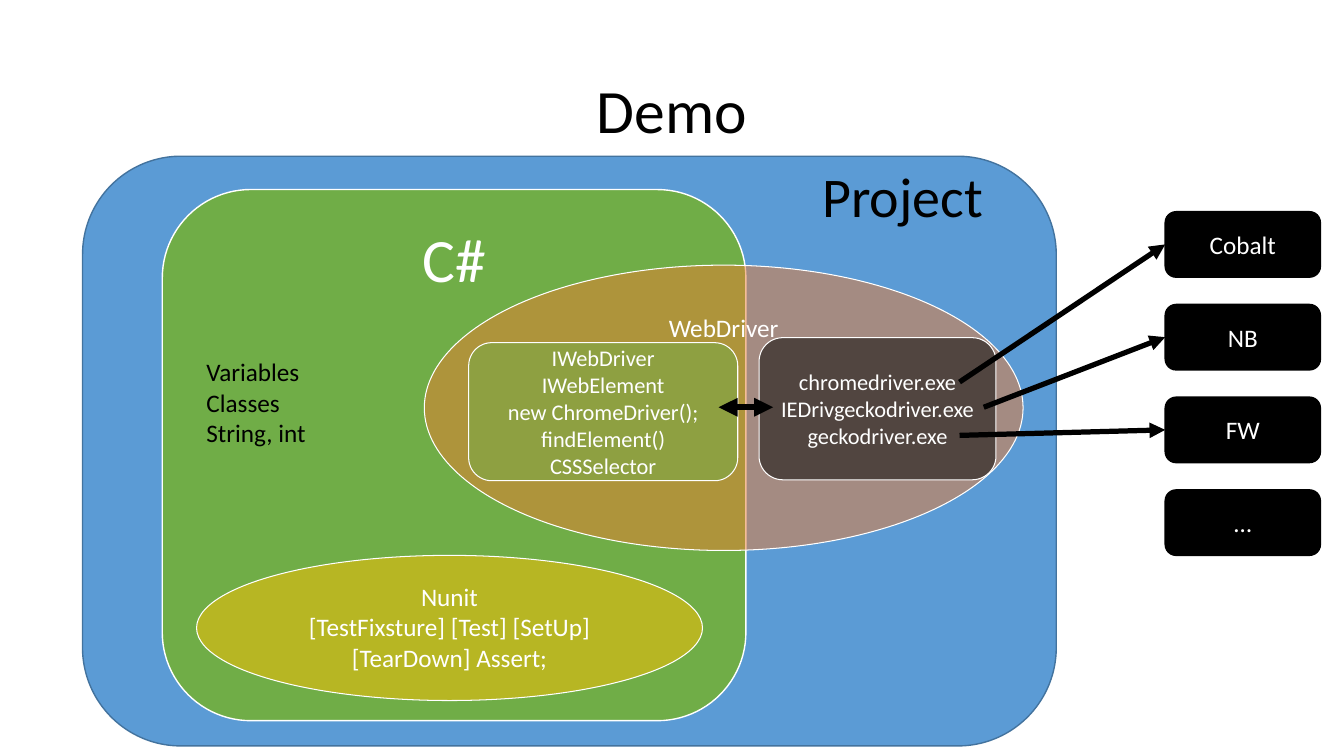
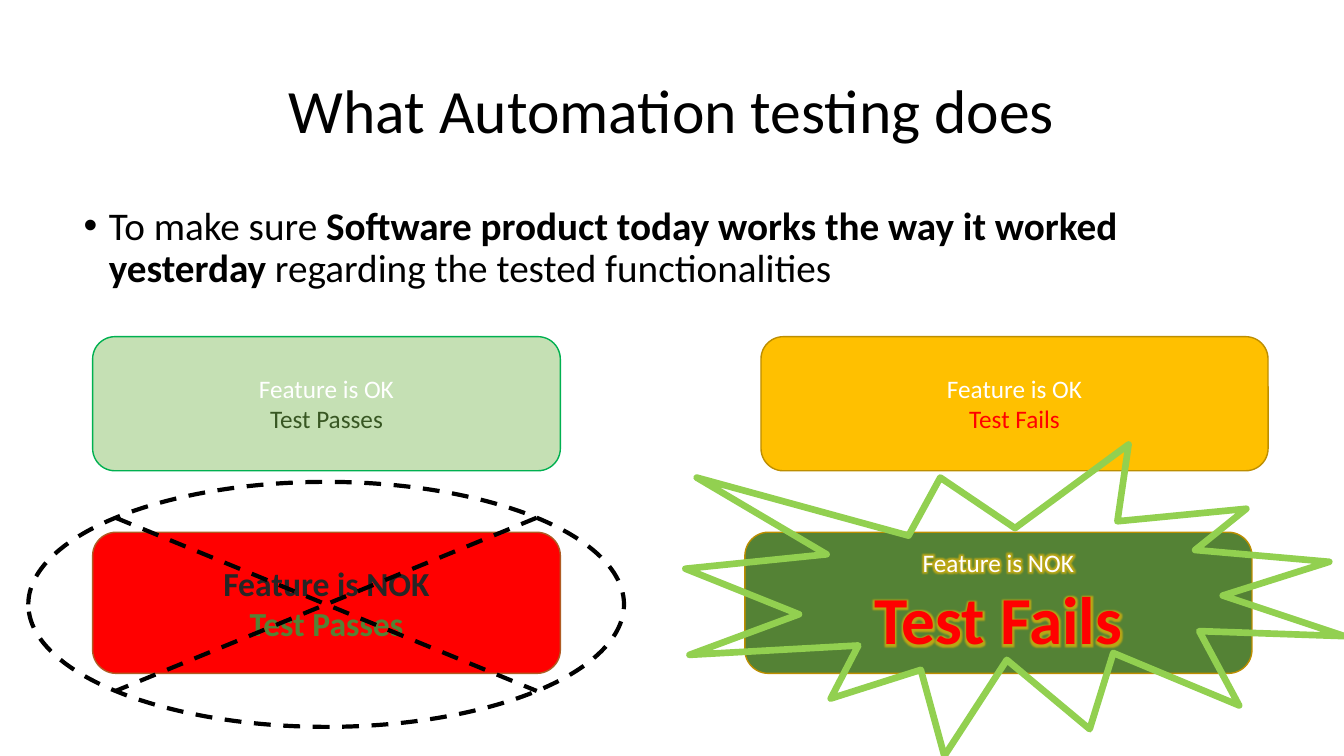
from lxml import etree
from pptx import Presentation
from pptx import util as u
from pptx.dml.color import RGBColor
from pptx.enum import dml, shapes, text
from pptx.oxml.ns import qn

BLACK, WHITE, RED = "000000", "FFFFFF", "FF0000"
GREEN, GOLD, DARK_GREEN = "70AD47", "FFC000", "548235"
FONT = "Calibri"
ROUND = shapes.MSO_SHAPE.ROUNDED_RECTANGLE
OVAL = shapes.MSO_SHAPE.OVAL
CENTER, LEFT = text.PP_ALIGN.CENTER, text.PP_ALIGN.LEFT
MIDDLE, TOP = text.MSO_ANCHOR.MIDDLE, text.MSO_ANCHOR.TOP


def rgb(value):
    return RGBColor.from_string(value)


def sub(parent, tag, **attrs):
    return etree.SubElement(parent, qn(tag), attrs)


def solid(parent, color, alpha=None):
    clr = sub(parent, "a:srgbClr", val=color)
    if alpha:
        sub(clr, "a:alpha", val=str(alpha * 1000))


def add_run(p, value, size=18, color=BLACK, bold=None, outline=None, glow=None):
    r = p.add_run()
    r.text = value
    r.font.size, r.font.name, r.font.bold = u.Pt(size), FONT, bold
    r.font.color.rgb = rgb(color)
    props = r.font._element
    if outline:
        ln = etree.Element(qn("a:ln"), w=str(u.Pt(1)))
        solid(sub(ln, "a:solidFill"), outline)
        props.insert(0, ln)
    if glow:
        effects = etree.Element(qn("a:effectLst"))
        solid(sub(effects, "a:glow", rad=str(u.Pt(5))), glow, 60)
        props.find(qn("a:latin")).addprevious(effects)


def write(sp, lines, align=CENTER, anchor=MIDDLE, wrap=True, spacing=None, **fmt):
    tf = sp.text_frame
    tf.word_wrap, tf.vertical_anchor = wrap, anchor
    for i, line in enumerate(lines):
        p = tf.add_paragraph() if i else tf.paragraphs[0]
        p.alignment, p.line_spacing = align, spacing
        for value, extra in [(line, {})] if isinstance(line, str) else line:
            add_run(p, value, **{**fmt, **extra})
    return tf


def add_box(s, kind, x, y, w, h, fill=None, line=BLACK, weight=1, alpha=None):
    sp = s.shapes.add_shape(kind, u.Pt(x), u.Pt(y), u.Pt(w), u.Pt(h))
    sp.shadow.inherit = False
    sp.line.color.rgb, sp.line.width = rgb(line), u.Pt(weight)
    if fill:
        sp.fill.solid()
        sp.fill.fore_color.rgb = rgb(fill)
        if alpha:
            clr = sp._element.spPr.find(qn("a:solidFill"))[0]
            sub(clr, "a:alpha", val=str(alpha * 1000))
    else:
        sp.fill.background()
    return sp


def add_label(s, x, y, w, h, lines, **fmt):
    sp = s.shapes.add_textbox(u.Pt(x), u.Pt(y), u.Pt(w), u.Pt(h))
    return write(sp, lines, **fmt)


def add_arrow(s, start, end, weight=3.75, both=False):
    cx = s.shapes.add_connector(shapes.MSO_CONNECTOR.STRAIGHT, *map(u.Pt, start + end))
    cx.line.color.rgb, cx.line.width = rgb(BLACK), u.Pt(weight)
    ln = cx.line._get_or_add_ln()
    if both:
        sub(ln, "a:headEnd", type="triangle")
    sub(ln, "a:tailEnd", type="triangle")
    sub(cx._element.spPr, "a:effectLst")


def add_slide(prs, title):
    s = prs.slides.add_slide(prs.slide_layouts[6])
    add_label(s, 66, 28.8, 828, 104.4, [title], size=44, spacing=0.9)
    return s


def draw_project(s, x, y, w, h):
    def veil(kind, dx, dy, bw, bh, fill, lines, **fmt):
        sp = add_box(s, kind, x + dx, y + dy, bw, bh, fill, WHITE, 0.75, 50)
        write(sp, lines, color=WHITE, **fmt)

    add_box(s, ROUND, x, y, w, h, "5B9BD5", "43739E")
    csharp = add_box(s, ROUND, x + 56.9, y + 23.8, 416.9, 379.4, GREEN, WHITE)
    write(csharp, ["C#"], anchor=TOP, size=44, color=WHITE)
    veil(OVAL, 81.4, 285.1, 361.4, 103.7, GOLD,
         ["Nunit", "[TestFixsture] [Test] [SetUp] [TearDown] Assert;"], anchor=TOP)
    veil(OVAL, 244.1, 77.8, 427.7, 203.8, "ED7D31", ["WebDriver"], anchor=TOP)
    add_label(s, x + 81.4, y + 139.7, 86.4, 116.6, ["Variables", "Classes", "String, int"],
              align=LEFT, anchor=TOP, wrap=False)
    veil(ROUND, 483.2, 129.6, 169.2, 101.5, BLACK,
         ["chromedriver.exe", "IEDrivgeckodriver.exe", "geckodriver.exe"], size=16)
    veil(ROUND, 275.8, 133.2, 192.2, 98.6, GREEN,
         ["IWebDriver", "IWebElement", "new ChromeDriver();", "findElement()", "CSSSelector"],
         size=16)
    add_arrow(s, (x + 454.4, y + 179.3), (x + 493.2, y + 179.3), 4.5, both=True)
    add_label(s, x + 521.3, y, 130.3, 55.4, ["Project"],
              align=LEFT, anchor=TOP, wrap=False, size=40)


def draw_browsers(s, x, y, w, h, names, starts):
    row = 46.8
    step = (h - row) / (len(names) - 1)
    for i, name in enumerate(names):
        sp = add_box(s, ROUND, x, y + i * step, w, row, BLACK)
        write(sp, [name], color=WHITE)
    for i, start in enumerate(starts):
        add_arrow(s, start, (x, y + i * step + row / 2))


def draw_outcome(s, x, y, w, h, fill, line, feature, result):
    sp = add_box(s, ROUND, x, y, w, h, fill, line)
    write(sp, [[feature], [result]], color=WHITE)


def draw_statement(s, x, y, w, h):
    tf = add_label(s, x, y, w, h, [[
        ("To make sure ", {}),
        ("Software product today works the way it worked yesterday", {"bold": True}),
        (" regarding the tested functionalities", {})]],
        align=LEFT, anchor=TOP, spacing=0.9, size=28)
    p = tf.paragraphs[0]
    p.space_before = u.Pt(10)
    props = p._p.get_or_add_pPr()
    props.set("marL", str(u.Pt(18)))
    props.set("indent", str(u.Pt(-18)))
    sub(props, "a:buFont", typeface="Arial")
    sub(props, "a:buChar", char="•")


def demo_slide(prs):
    s = add_slide(prs, "Demo")
    draw_project(s, 59, 111.6, 695.5, 421.2)
    draw_browsers(s, 832.3, 151.2, 110.9, 245.5, ["Cobalt", "NB", "FW", "…"],
                  [(685.4, 272.9), (702.7, 290.9), (685.4, 311)])


def outcomes_slide(prs):
    s = add_slide(prs, "What Automation testing does")
    draw_statement(s, 52.6, 144, 841.7, 342.7)
    ok, nok = "Feature is OK", "Feature is NOK"
    passes, fails = "Test Passes", "Test Fails"
    strong = {"size": 24, "bold": True, "outline": WHITE}
    draw_outcome(s, 66.2, 240.5, 334.1, 95.8, "C5E0B4", "00B050",
                 (ok, {}), (passes, {"color": "385723"}))
    draw_outcome(s, 543.6, 240.5, 362.2, 95.8, GOLD, "BD8E00",
                 (ok, {}), (fails, {"color": RED}))
    draw_outcome(s, 66.2, 380.2, 334.1, 100.8, RED, "AF5C24",
                 (nok, {**strong, "color": "262626"}),
                 (passes, {**strong, "color": DARK_GREEN}))
    draw_outcome(s, 532.1, 380.2, 362.2, 100.8, DARK_GREEN, "BD8E00",
                 (nok, {"glow": GOLD}),
                 (fails, {"size": 48, "color": RED, "bold": True,
                          "outline": "333F50", "glow": GOLD}))
    cross = add_box(s, shapes.MSO_SHAPE.FLOWCHART_SUMMING_JUNCTION,
                    20.2, 344.2, 425.5, 175, weight=3)
    cross.line.dash_style = dml.MSO_LINE.DASH
    add_box(s, shapes.MSO_SHAPE.EXPLOSION1, 489.6, 317.5, 470.9, 222.5,
            line="92D050", weight=4.75)


prs = Presentation()
prs.slide_width, prs.slide_height = u.Pt(960), u.Pt(540)
demo_slide(prs)
outcomes_slide(prs)
prs.save("out.pptx")
